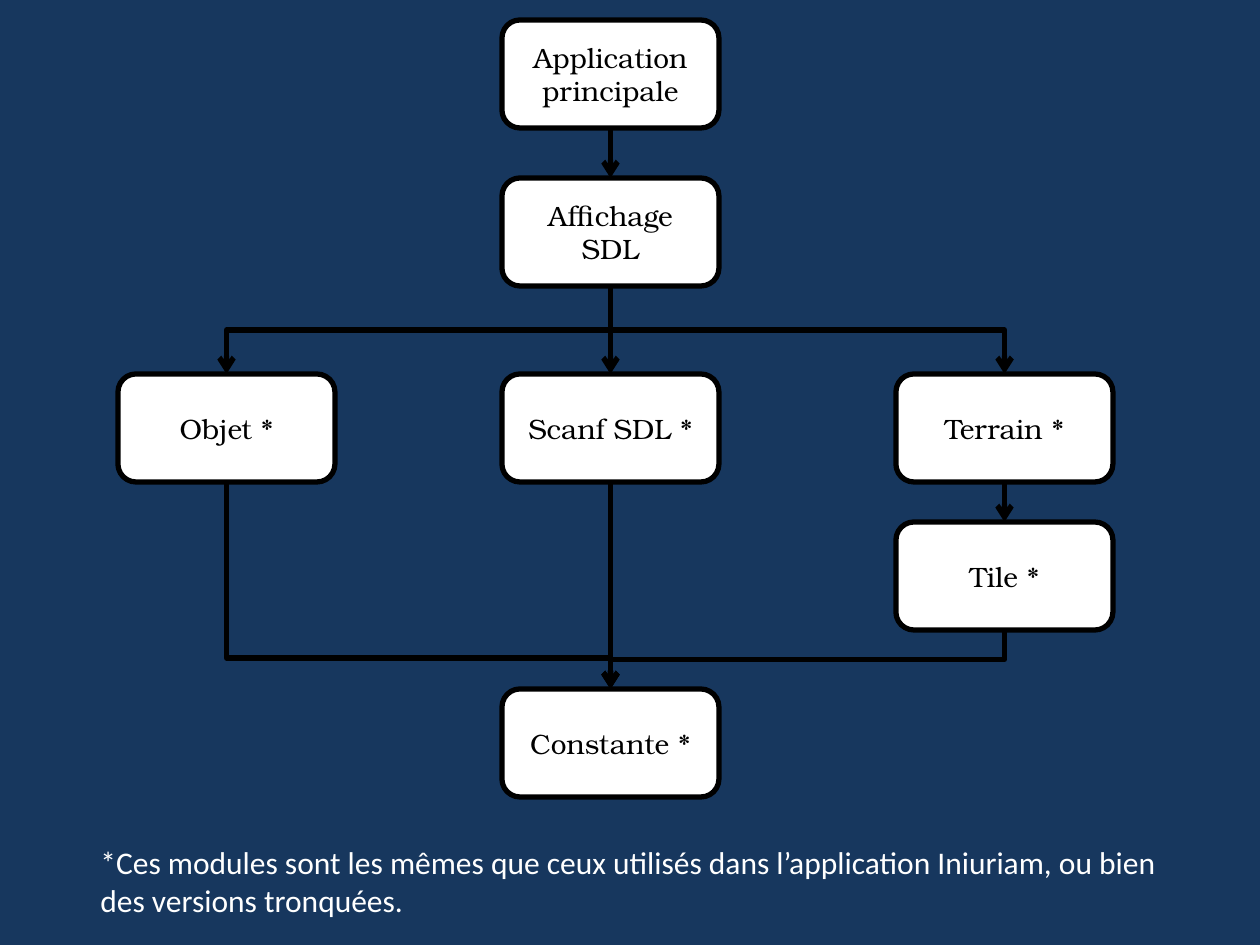
from lxml import etree
from pptx import Presentation
from pptx import util as u
from pptx.dml.color import RGBColor
from pptx.enum import shapes, text
from pptx.oxml.ns import qn

SCALE = 914400 / 126
COLORS = {"navy": "17375E", "white": "FFFFFF", "black": "000000"}
BOX_WIDTH, BOX_HEIGHT = 217, 108
TOP_SITE, BOTTOM_SITE = 0, 2


def px(length):
    return u.Emu(round(length * SCALE))


def color(name):
    return RGBColor.from_string(COLORS[name])


def write(frame, words, *, font, size, ink, align=text.PP_ALIGN.LEFT,
          anchor=text.MSO_ANCHOR.TOP):
    frame.word_wrap = True
    frame.vertical_anchor = anchor
    para = frame.paragraphs[0]
    para.alignment = align
    span = para.add_run()
    span.text = words
    span.font.name = font
    span.font.size = u.Pt(size)
    span.font.color.rgb = color(ink)


class Diagram:
    """Holds the style of the diagram and the page it is drawn on."""

    box_font, note_font = "TeX Gyre Bonum", "Calibri"
    box_size, note_size = 16, 18
    line_width = 3

    def __init__(self, page):
        self.page = page

    def shape(self, kind, left, top, width, height, fill):
        shape = self.page.shapes.add_shape(
            kind, px(left), px(top), px(width), px(height))
        shape.shadow.inherit = False
        shape.fill.solid()
        shape.fill.fore_color.rgb = color(fill)
        return shape

    def backdrop(self, width, height):
        shape = self.shape(shapes.MSO_SHAPE.RECTANGLE, 0, 0, width, height, "navy")
        shape.line.fill.background()

    def box(self, words, left, top):
        box = self.shape(shapes.MSO_SHAPE.ROUNDED_RECTANGLE, left, top,
                         BOX_WIDTH, BOX_HEIGHT, "white")
        box.line.color.rgb = color("black")
        box.line.width = u.Pt(self.line_width)
        write(box.text_frame, words, font=self.box_font, size=self.box_size,
              ink="black", align=text.PP_ALIGN.CENTER,
              anchor=text.MSO_ANCHOR.MIDDLE)
        return box

    def note(self, words, left, top, width, height):
        note = self.page.shapes.add_textbox(px(left), px(top), px(width), px(height))
        write(note.text_frame, words, font=self.note_font,
              size=self.note_size, ink="white")

    def arrow(self, source, target, bend=0.5):
        """Link the bottom of one box to the top of another."""
        straight = source.left == target.left
        kind = shapes.MSO_CONNECTOR.STRAIGHT if straight else shapes.MSO_CONNECTOR.ELBOW
        arrow = self.page.shapes.add_connector(kind, 0, 0, 0, 0)
        arrow.begin_connect(source, BOTTOM_SITE)
        arrow.end_connect(target, TOP_SITE)
        arrow.line.color.rgb = color("black")
        arrow.line.width = u.Pt(self.line_width)
        etree.SubElement(arrow.line._get_or_add_ln(), qn("a:tailEnd"), type="arrow")
        etree.SubElement(arrow._element.spPr, qn("a:effectLst"))
        if not straight:
            self.turn(arrow, bend)

    def turn(self, arrow, bend):
        """Rotate an elbow so that it leaves and arrives vertically."""
        rightward = arrow.end_x > arrow.begin_x
        width, height = arrow.width, arrow.height
        shift = (width - height) // 2
        arrow.left, arrow.top = arrow.left + shift, arrow.top - shift
        arrow.width, arrow.height = height, width
        properties = arrow._element.spPr
        frame = properties.find(qn("a:xfrm"))
        frame.set("rot", str((270 if rightward else 90) * 60000))
        frame.set("flipH", "1" if rightward else "0")
        guides = properties.find(qn("a:prstGeom")).find(qn("a:avLst"))
        etree.SubElement(guides, qn("a:gd"), name="adj1",
                         fmla=f"val {round(bend * 100000)}")


def main():
    deck = Presentation()
    deck.slide_width, deck.slide_height = px(1260), px(945)
    page = deck.slides.add_slide(deck.slide_layouts[6])
    diagram = Diagram(page)
    diagram.backdrop(1260, 945)

    left, center, right = 118, 502, 896
    application = diagram.box("Application principale", center, 20)
    display = diagram.box("Affichage SDL", center, 178)
    item, scanf, terrain = [
        diagram.box(words, column, 374)
        for words, column in (("Objet *", left), ("Scanf SDL *", center),
                              ("Terrain *", right))]
    tile = diagram.box("Tile *", right, 522)
    constant = diagram.box("Constante *", center, 689)

    diagram.arrow(application, display)
    for module in (item, scanf, terrain):
        diagram.arrow(display, module)
    diagram.arrow(terrain, tile)
    diagram.arrow(item, constant, bend=0.85)
    diagram.arrow(scanf, constant)
    diagram.arrow(tile, constant)

    diagram.note("*Ces modules sont les mêmes que ceux utilisés dans l’application "
                 "Iniuriam, ou bien des versions tronquées.", 88, 837, 1103, 89)
    deck.save("out.pptx")


if __name__ == "__main__":
    main()
